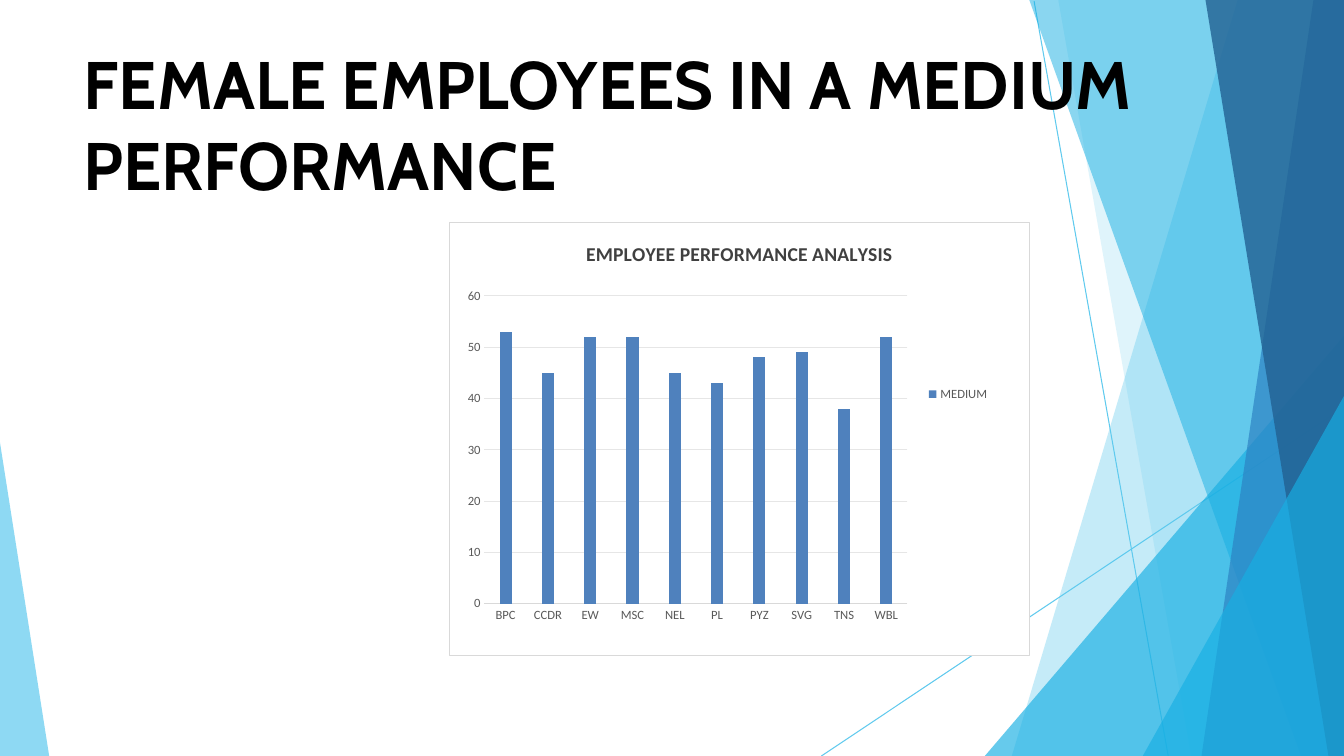
from dataclasses import dataclass

from lxml import etree
from pptx import Presentation
from pptx import util as u
from pptx.chart.data import CategoryChartData
from pptx.dml.color import RGBColor
from pptx.enum import chart as ce
from pptx.enum import shapes, text
from pptx.oxml import parse_xml
from pptx.oxml.ns import nsdecls, qn

SKY = RGBColor(0x5F, 0xCA, 0xEE)
CYAN = RGBColor(0x17, 0xAF, 0xE3)
BLUE = RGBColor(0x2D, 0x83, 0xC3)
NAVY = RGBColor(0x22, 0x61, 0x92)
BAR_BLUE = RGBColor(0x4F, 0x81, 0xBD)
BLACK = RGBColor(0, 0, 0)
TITLE_GREY = RGBColor(0x40, 0x40, 0x40)
LABEL_GREY = RGBColor(0x59, 0x59, 0x59)
BORDER_GREY = RGBColor(0xD9, 0xD9, 0xD9)
GRID_GREY = RGBColor(0xE6, 0xE6, 0xE6)

WIDTH, HEIGHT = 33.87, 19.05  # slide size in centimetres
Point = tuple[float, float]
TOP_RIGHT: Point = (WIDTH, 0)
BOTTOM_RIGHT: Point = (WIDTH, HEIGHT)


@dataclass
class Ray:
    start: Point
    end: Point


@dataclass
class Facet:
    corners: list[Point]
    color: RGBColor
    opacity: int  # percent


def right_band(top: float, bottom: float) -> list[Point]:
    """Corners of a band from a slanted left edge to the slide's right edge."""
    return [TOP_RIGHT, (top, 0), (bottom, HEIGHT), BOTTOM_RIGHT]


def right_corner(rise: float, left: float) -> list[Point]:
    """Corners of a triangle in the slide's lower right corner."""
    return [(WIDTH, rise), (left, HEIGHT), BOTTOM_RIGHT]


RAYS = [
    Ray((26.06, 0.03), (29.44, HEIGHT)),
    Ray((WIDTH, 10.26), (20.7, HEIGHT)),
]
FACETS = [
    Facet(right_band(31.19, 25.5), SKY, 36),
    Facet(right_band(26.67, 30.02), SKY, 20),
    Facet(right_corner(8.46, 24.82), CYAN, 66),
    Facet(right_band(25.94, 32.79), CYAN, 50),
    Facet(right_band(33.1, 30.28), BLUE, 70),
    Facet(right_band(30.38, 33.48), NAVY, 80),
    Facet(right_corner(9.98, 28.8), CYAN, 66),
    Facet([(0, 11.15), (0, HEIGHT), (1.24, HEIGHT)], SKY, 70),
]
PERFORMANCE = {
    "BPC": 53, "CCDR": 45, "EW": 52, "MSC": 52, "NEL": 45,
    "PL": 43, "PYZ": 48, "SVG": 49, "TNS": 38, "WBL": 52,
}


def draw_ray(page, ray: Ray) -> None:
    line = page.shapes.add_connector(
        shapes.MSO_CONNECTOR.STRAIGHT,
        *(u.Cm(value) for value in ray.start + ray.end))
    line.line.color.rgb = SKY
    line.line.width = u.Pt(0.75)
    etree.SubElement(line._element.spPr, qn("a:effectLst"))


def draw_facet(page, facet: Facet) -> None:
    first, *others = [(u.Cm(x), u.Cm(y)) for x, y in facet.corners]
    builder = page.shapes.build_freeform(*first)
    builder.add_line_segments(others, close=True)
    shape = builder.convert_to_shape()
    shape.shadow.inherit = False
    shape.line.fill.background()
    shape.fill.solid()
    shape.fill.fore_color.rgb = facet.color
    color = shape._element.spPr.find(".//" + qn("a:srgbClr"))
    etree.SubElement(color, qn("a:alpha"), val=str(facet.opacity * 1000))


def style_font(font, size: float, color: RGBColor, bold: bool = False,
               name: str = "Calibri") -> None:
    font.size = u.Pt(size)
    font.color.rgb = color
    font.bold = bold
    font.name = name


def draw_title(page) -> None:
    box = page.shapes.add_textbox(u.Cm(2.11), u.Cm(1.07), u.Cm(29.67), u.Cm(6.15))
    frame = box.text_frame
    frame.word_wrap = True
    frame.vertical_anchor = text.MSO_ANCHOR.TOP
    frame.margin_left = frame.margin_right = frame.margin_top = frame.margin_bottom = 0
    frame.text = "FEMALE EMPLOYEES IN A MEDIUM PERFORMANCE"
    span = frame.paragraphs[0].runs[0]
    style_font(span.font, 48, BLACK, bold=True, name="Cabin")


def set_layout(parent, index: int, **values: str | float) -> None:
    """Give a chart part a manual layout as child number index."""
    for old in parent.findall(qn("c:layout")):
        parent.remove(old)
    layout = etree.Element(qn("c:layout"))
    manual = etree.SubElement(layout, qn("c:manualLayout"))
    for tag, value in values.items():
        etree.SubElement(manual, qn("c:" + tag), val=str(value))
    parent.insert(index, layout)


def frame_chart(chart) -> None:
    """Put a white ground and a thin grey border on the chart."""
    chart._chartSpace.find(qn("c:chart")).addnext(parse_xml(
        f'<c:spPr {nsdecls("c", "a")}>'
        '<a:solidFill><a:srgbClr val="FFFFFF"/></a:solidFill>'
        f'<a:ln w="{u.Pt(0.75)}"><a:solidFill><a:srgbClr val="{BORDER_GREY}"/>'
        '</a:solidFill></a:ln></c:spPr>'))


def draw_chart(page) -> None:
    data = CategoryChartData()
    data.categories = list(PERFORMANCE)
    data.add_series("MEDIUM", list(PERFORMANCE.values()))
    chart = page.shapes.add_chart(
        ce.XL_CHART_TYPE.COLUMN_CLUSTERED,
        u.Cm(11.32), u.Cm(5.59), u.Cm(14.63), u.Cm(10.95), data).chart
    style_font(chart.font, 10, BLACK)
    frame_chart(chart)

    chart.has_title = True
    heading = chart.chart_title.text_frame
    heading.text = "EMPLOYEE PERFORMANCE ANALYSIS"
    style_font(heading.paragraphs[0].runs[0].font, 14, TITLE_GREY, bold=True)

    plot = chart.plots[0]
    plot.gap_width, plot.overlap, plot.vary_by_categories = 246, -28, False
    bars = plot.series[0].format.fill
    bars.solid()
    bars.fore_color.rgb = BAR_BLUE

    for axis in (chart.category_axis, chart.value_axis):
        axis.major_tick_mark = axis.minor_tick_mark = ce.XL_TICK_MARK.NONE
        style_font(axis.tick_labels.font, 9, LABEL_GREY)
    base = chart.category_axis.format.line
    base.color.rgb, base.width = BORDER_GREY, u.Pt(0.75)
    scale = chart.value_axis
    scale.minimum_scale, scale.maximum_scale, scale.major_unit = 0, 60, 10
    scale.format.line.fill.background()
    grid = scale.major_gridlines.format.line
    grid.color.rgb, grid.width = GRID_GREY, u.Pt(0.75)

    chart.has_legend = True
    legend = chart.legend
    legend.position = ce.XL_LEGEND_POSITION.RIGHT
    legend.include_in_layout = False
    style_font(legend.font, 9, LABEL_GREY)
    # The plot ends at 0.79 of the chart's width; the legend stands beside it.
    set_layout(legend._element, 1, xMode="edge", yMode="edge", x=0.82, y=0.37)
    set_layout(chart._chartSpace.find(".//" + qn("c:plotArea")), 0,
               layoutTarget="inner", xMode="edge", yMode="edge",
               x=0.06, y=0.17, w=0.73, h=0.71)


def main() -> None:
    deck = Presentation()
    deck.slide_width, deck.slide_height = u.Cm(WIDTH), u.Cm(HEIGHT)
    page = deck.slides.add_slide(deck.slide_layouts[6])
    for ray in RAYS:
        draw_ray(page, ray)
    for facet in FACETS:
        draw_facet(page, facet)
    draw_title(page)
    draw_chart(page)
    deck.save("out.pptx")


if __name__ == "__main__":
    main()
